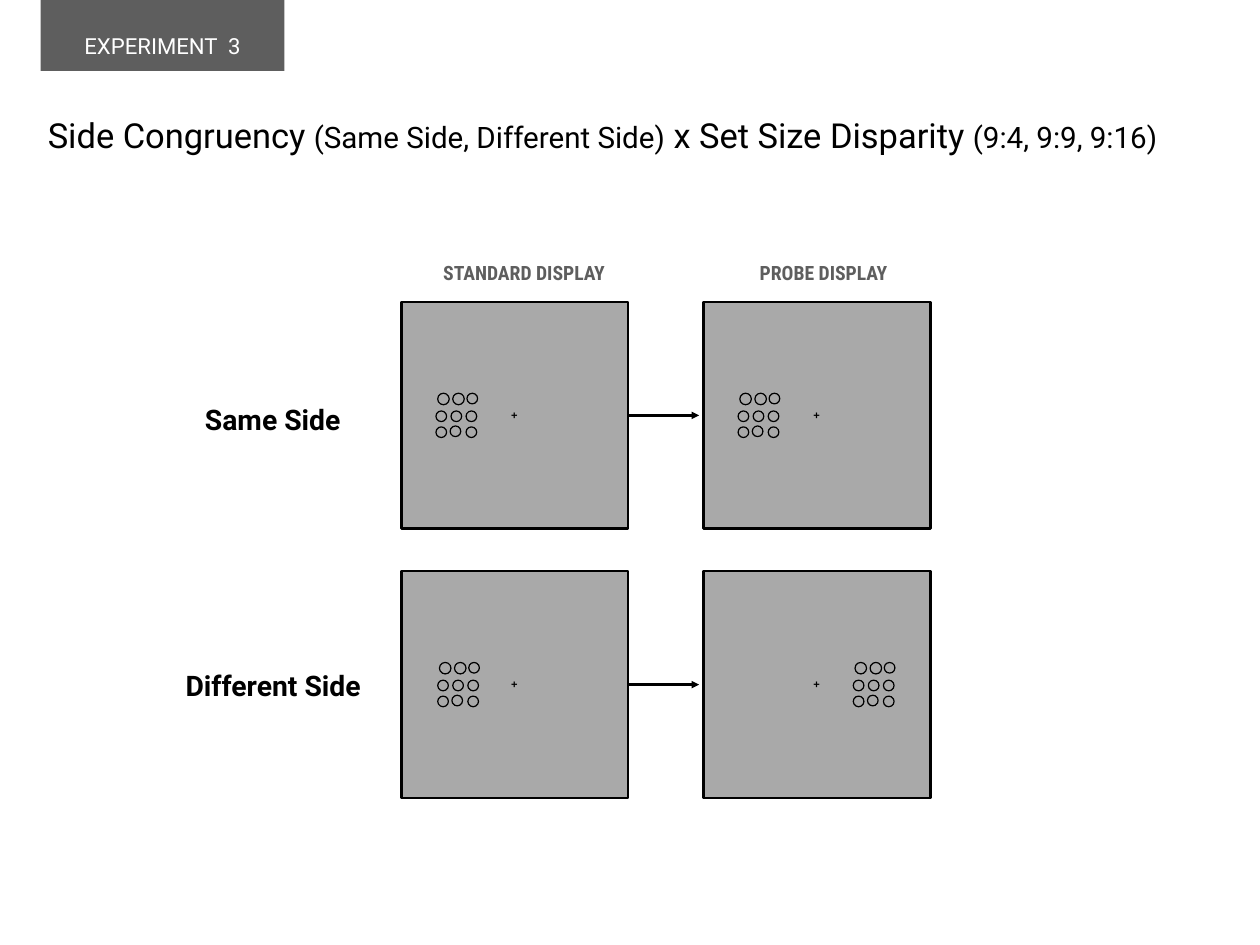
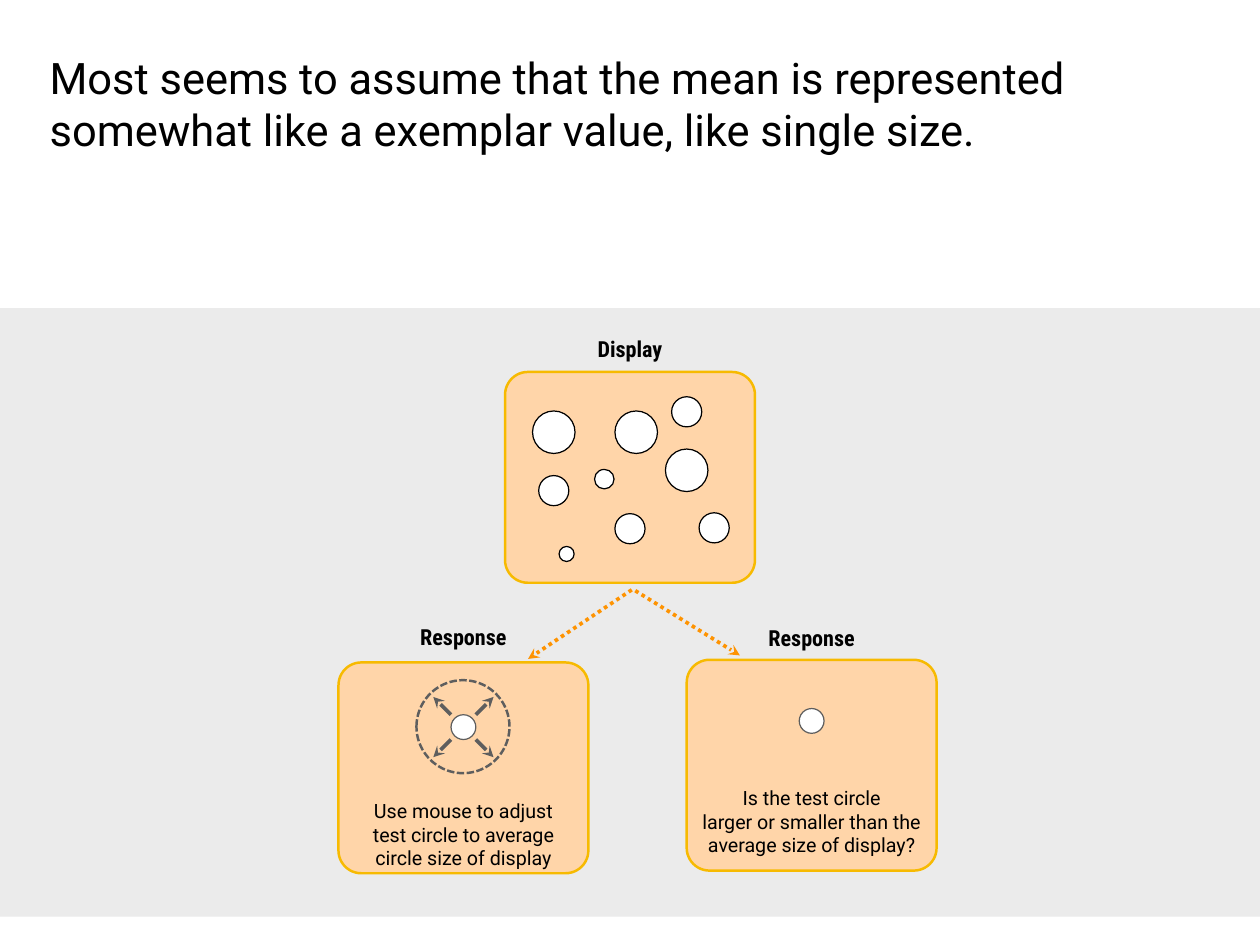
"""Build two slides about ensemble-size experiments: a display design and a response scheme."""
from dataclasses import dataclass
from itertools import product

from lxml.etree import SubElement
from pptx import Presentation
from pptx.dml.color import RGBColor
from pptx.enum.dml import MSO_LINE
from pptx.enum.shapes import MSO_CONNECTOR, MSO_SHAPE
from pptx.enum.text import MSO_ANCHOR, MSO_AUTO_SIZE, PP_ALIGN
from pptx.oxml.ns import qn
from pptx.presentation import Presentation as Deck
from pptx.shapes.autoshape import Shape
from pptx.shapes.connector import Connector
from pptx.shapes.shapetree import GroupShapes, SlideShapes
from pptx.slide import Slide
from pptx.util import Inches, Pt

COLORS = {
    "black": "000000",
    "white": "FFFFFF",
    "dark": "5E5E5E",
    "display": "A9A9A9",
    "band": "EBEBEB",
    "card": "FFD5A9",
    "border": "F7BA01",
    "arrow": "FE9301",
}
BODY_FONT = "Roboto"
LABEL_FONT = "Roboto Condensed"
PANEL_SIZE = 2.56
CARD_WIDTH, CARD_HEIGHT = 2.82, 2.38
TEST_SIZE = 0.28

Shapes = SlideShapes | GroupShapes
Box = tuple[float, float, float, float]


@dataclass(frozen=True)
class Circle:
    left: float
    top: float
    size: float


@dataclass(frozen=True)
class Panel:
    left: float
    top: float
    dots_shift: float


@dataclass(frozen=True)
class Card:
    left: float
    top: float
    label: str
    label_top: float


@dataclass(frozen=True)
class Response:
    card: Card
    caption: tuple[str, ...]
    caption_box: Box
    test_circle: Circle
    arrow_start: tuple[float, float]
    arrow_end: tuple[float, float]
    adjustable: bool


@dataclass(frozen=True)
class Condition:
    label: str
    label_box: Box
    standard: Panel
    probe: Panel


DOTS = [
    Circle(0.58, 1.03, 0.13), Circle(0.56, 1.23, 0.12), Circle(0.41, 1.03, 0.13),
    Circle(0.39, 1.23, 0.12), Circle(0.74, 1.03, 0.12), Circle(0.73, 1.41, 0.12),
    Circle(0.55, 1.40, 0.12), Circle(0.39, 1.41, 0.12), Circle(0.73, 1.23, 0.12),
]
CONDITIONS = [
    Condition("Same Side", (1.63, 4.22, 2.9, 1.02), Panel(4.53, 3.41, 0), Panel(7.94, 3.41, 0)),
    Condition("Different Side", (1.65, 7.24, 2.87, 0.99), Panel(4.53, 6.45, 0.02), Panel(7.94, 6.45, 1.3)),
]
DISPLAY_CIRCLES = [
    Circle(6.01, 4.64, 0.48), Circle(6.94, 4.64, 0.48), Circle(7.58, 4.48, 0.34),
    Circle(6.08, 5.37, 0.34), Circle(6.71, 5.3, 0.22), Circle(7.51, 5.07, 0.48),
    Circle(6.94, 5.8, 0.34), Circle(7.89, 5.79, 0.34), Circle(6.31, 6.17, 0.17),
]
RESPONSES = [
    Response(
        Card(3.82, 7.48, "Response", 6.94),
        ("Use mouse to adjust test circle to average circle size of display",),
        (3.97, 8.99, 2.52, 0.86), Circle(5.09, 8.07, TEST_SIZE), (7.13, 6.66), (5.96, 7.44), True,
    ),
    Response(
        Card(7.75, 7.45, "Response", 6.95),
        ("Is the test circle", "larger or smaller than the average size of display?"),
        (7.81, 8.72, 2.7, 1.11), Circle(9.02, 8.0, TEST_SIZE), (7.17, 6.67), (8.35, 7.4), False,
    ),
]


def color(name: str) -> RGBColor:
    return RGBColor.from_string(COLORS[name])


def write(
    shape: Shape,
    *paragraphs: str | list[tuple[str, float]],
    size: float = 16,
    font: str = BODY_FONT,
    fill: str = "black",
    bold: bool = False,
    align: PP_ALIGN = PP_ALIGN.CENTER,
    inset: float = 0.06,
    spacing: float = 1.0,
    wrap: bool = True,
) -> None:
    frame = shape.text_frame
    frame.word_wrap = wrap
    frame.auto_size = MSO_AUTO_SIZE.NONE
    frame.vertical_anchor = MSO_ANCHOR.MIDDLE
    frame.margin_left = frame.margin_right = Inches(inset)
    frame.margin_top = frame.margin_bottom = Inches(inset)
    for index, content in enumerate(paragraphs):
        paragraph = frame.add_paragraph() if index else frame.paragraphs[0]
        paragraph.alignment = align
        paragraph.line_spacing = spacing
        paragraph.space_before = Pt(0)
        for text, run_size in [(content, size)] if isinstance(content, str) else content:
            run = paragraph.add_run()
            run.text = text
            run.font.name = font
            run.font.size = Pt(run_size)
            run.font.bold = bold
            run.font.color.rgb = color(fill)


def add_text(shapes: Shapes, box: Box, *paragraphs: str, **style) -> None:
    write(shapes.add_textbox(*map(Inches, box)), *paragraphs, **style)


def add_shape(
    shapes: Shapes,
    kind: MSO_SHAPE,
    box: Box,
    fill: str | None = None,
    line: str | None = None,
    width: float = 1,
    radius: float | None = None,
) -> Shape:
    shape = shapes.add_shape(kind, *map(Inches, box))
    shape.shadow.inherit = False
    if radius is not None:
        shape.adjustments[0] = radius
    if fill:
        shape.fill.solid()
        shape.fill.fore_color.rgb = color(fill)
    else:
        shape.fill.background()
    if line:
        shape.line.color.rgb = color(line)
        shape.line.width = Pt(width)
    else:
        shape.line.fill.background()
    return shape


def add_circle(shapes: Shapes, circle: Circle, fill: str | None, line: str, width: float = 1) -> Shape:
    box = (circle.left, circle.top, circle.size, circle.size)
    return add_shape(shapes, MSO_SHAPE.OVAL, box, fill, line, width)


def add_arrow(
    shapes: Shapes,
    start: tuple[float, float],
    end: tuple[float, float],
    line: str,
    width: float = 3,
    head: str = "stealth",
    dash: MSO_LINE | None = None,
) -> Connector:
    arrow = shapes.add_connector(MSO_CONNECTOR.STRAIGHT, *map(Inches, start + end))
    arrow.line.color.rgb = color(line)
    arrow.line.width = Pt(width)
    if dash is not None:
        arrow.line.dash_style = dash
    SubElement(arrow.line._get_or_add_ln(), qn("a:tailEnd"), type=head)
    SubElement(arrow._element.spPr, qn("a:effectLst"))
    return arrow


def add_titled_slide(presentation: Deck, box: Box, title: str | list[tuple[str, float]], **style) -> Slide:
    slide = presentation.slides.add_slide(presentation.slide_layouts[5])
    shape = slide.shapes.title
    shape.left, shape.top, shape.width, shape.height = map(Inches, box)
    write(shape, title, align=PP_ALIGN.LEFT, inset=0.08, **style)
    return slide


def add_panel(shapes: Shapes, panel: Panel) -> Shape:
    box = (panel.left, panel.top, PANEL_SIZE, PANEL_SIZE)
    frame = add_shape(shapes, MSO_SHAPE.RECTANGLE, box, "display", "black", 2)
    add_text(shapes, (panel.left + 1.1, panel.top + 1.05, 0.35, 0.46), "+", size=9, font="Arial", bold=True)
    for dot in DOTS:
        circle = Circle(panel.left + panel.dots_shift + dot.left, panel.top + dot.top, dot.size)
        add_circle(shapes, circle, "display", "black")
    return frame


def add_card(shapes: Shapes, card: Card) -> None:
    box = (card.left, card.top, CARD_WIDTH, CARD_HEIGHT)
    add_shape(shapes, MSO_SHAPE.ROUNDED_RECTANGLE, box, "card", "border", 2, 0.108)
    label_box = (card.left + 0.34, card.label_top, CARD_WIDTH - 0.68, 0.5)
    add_text(shapes, label_box, card.label, size=18, font=LABEL_FONT, bold=True)


def add_adjustment_marks(shapes: Shapes, test: Circle) -> None:
    center_x, center_y = test.left + test.size / 2, test.top + test.size / 2
    ring = add_circle(shapes, Circle(center_x - 0.53, center_y - 0.53, 1.05), None, "dark", 2)
    ring.line.dash_style = MSO_LINE.SQUARE_DOT
    for across, down in product((-1, 1), repeat=2):
        start = (center_x + 0.14 * across, center_y + 0.14 * down)
        end = (center_x + 0.34 * across, center_y + 0.34 * down)
        add_arrow(shapes, start, end, "dark")


def add_response(shapes: Shapes, response: Response) -> None:
    add_card(shapes, response.card)
    add_text(shapes, response.caption_box, *response.caption)
    if response.adjustable:
        add_adjustment_marks(shapes, response.test_circle)
    add_circle(shapes, response.test_circle, "white", "dark")
    add_arrow(shapes, response.arrow_start, response.arrow_end, "arrow", dash=MSO_LINE.ROUND_DOT)


def build_design_slide(presentation: Deck) -> None:
    title = [
        ("Side Congruency ", 28), ("(Same Side, Different Side)", 24),
        (" x Set Size Disparity ", 28), ("(9:4, 9:9, 9:16)", 24),
    ]
    slide = add_titled_slide(presentation, (0.46, 0.8, 13.7, 1.34), title, spacing=1.2)
    tab = slide.shapes.add_group_shape().shapes
    add_shape(tab, MSO_SHAPE.ROUNDED_RECTANGLE, (0.46, -0.3, 2.75, 1.1), "dark", radius=0)
    add_text(tab, (0.82, 0.3, 2.03, 0.42), "EXPERIMENT  3", size=18, fill="white", wrap=False)
    design = slide.shapes.add_group_shape().shapes
    for left, heading in ((4.93, "STANDARD DISPLAY"), (8.31, "PROBE DISPLAY")):
        add_text(design, (left, 2.73, 1.97, 0.7), heading, font=LABEL_FONT, fill="dark", bold=True)
    for condition in CONDITIONS:
        add_text(design, condition.label_box, condition.label, size=23, bold=True)
        standard = add_panel(design, condition.standard)
        add_panel(design, condition.probe)
        right = condition.standard.left + PANEL_SIZE
        middle = condition.standard.top + PANEL_SIZE / 2
        arrow = add_arrow(design, (right, middle), (right + 0.8, middle), "black", 2, "triangle")
        arrow.begin_connect(standard, 3)


def build_response_slide(presentation: Deck) -> None:
    title = "Most seems to assume that the mean is represented somewhat like a exemplar value, like single size."
    slide = add_titled_slide(presentation, (0.48, 0.49, 13.38, 1.34), title, size=35.3)
    add_shape(slide.shapes, MSO_SHAPE.ROUNDED_RECTANGLE, (-0.21, 3.48, 14.65, 6.87), "band", radius=0.019)
    display = slide.shapes.add_group_shape().shapes
    add_card(display, Card(5.7, 4.2, "Display", 3.69))
    for circle in DISPLAY_CIRCLES:
        add_circle(display, circle, "white", "black")
    for response in RESPONSES:
        add_response(slide.shapes.add_group_shape().shapes, response)


def main() -> None:
    presentation = Presentation()
    presentation.slide_width, presentation.slide_height = Inches(14.22), Inches(10.67)
    build_design_slide(presentation)
    build_response_slide(presentation)
    presentation.save("out.pptx")


if __name__ == "__main__":
    main()
